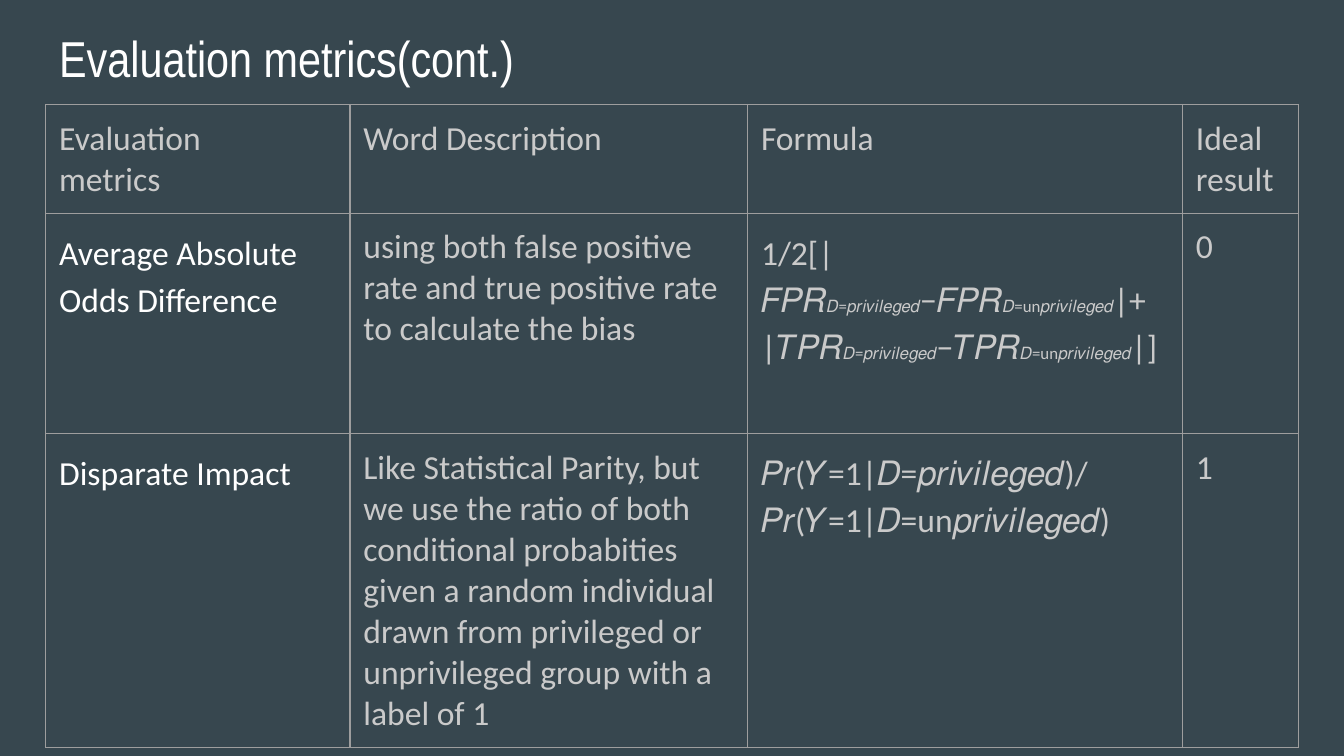
from lxml.etree import SubElement
from pptx import Presentation
from pptx.dml.color import RGBColor as RGB
from pptx.enum.text import MSO_ANCHOR as Anchor, MSO_AUTO_SIZE as Fit, PP_ALIGN as Align
from pptx.oxml.ns import qn
from pptx.util import Pt

THEME = {
    "back": "37474F", "text": "CACACA", "bright": "FFFFFF", "line": "9E9E9E",
    "head font": "Arial Narrow", "body font": "Calibri",
    "head": 27, "body": 18, "sub": 9, "rule": 0.75, "inset": 7.2,
}

TITLE = "Evaluation metrics(cont.)"
PRIV, UNPRIV = "𝐷=𝑝𝑟𝑖𝑣𝑖𝑙𝑒𝑔𝑒𝑑", "𝐷=un𝑝𝑟𝑖𝑣𝑖𝑙𝑒𝑔𝑒𝑑"


def rates(start, name, end):
    """Runs of one rate difference; every second run is a subscript."""
    return [start + name, PRIV, "−" + name, UNPRIV, end]


# A cell is a list of paragraphs, a paragraph a list of runs.
ROWS = [
    [[["Evaluation"], ["metrics"]], [["Word Description"]],
     [["Formula"]], [["Ideal result"]]],
    [[["Average Absolute Odds Difference"]],
     [["using both false positive rate and true positive rate to calculate the bias"]],
     [rates("1/2[|", "𝐹𝑃𝑅", "|+"), rates("|", "𝑇𝑃𝑅", "|]")],
     [["0"]]],
    [[["Disparate Impact"]],
     [["Like Statistical Parity, but we use the ratio of both conditional probabities "
       "given a random individual drawn from privileged or unprivileged group "
       "with a label of 1"]],
     [[f"𝑃𝑟(𝑌=1|{PRIV})/𝑃𝑟(𝑌=1|{UNPRIV})"]],
     [["1"]]],
]
WIDTHS = [163, 213, 233, 62]
HEIGHTS = [54, 118, 30]  # the last row grows with its text
LEFT, TOP = 24.5, 56
METRIC, FORMULA = 0, 2  # columns with looser lines


def style(run, font, size, color):
    run.font.name = font
    run.font.size = Pt(size)
    run.font.color.rgb = RGB.from_string(color)


def pad(frame):
    frame.margin_left = frame.margin_right = Pt(THEME["inset"])
    frame.margin_top = frame.margin_bottom = Pt(THEME["inset"])


def rule(cell):
    """Draw a thin line on all four sides of a cell."""
    props = cell._tc.get_or_add_tcPr()
    for side in ("lnL", "lnR", "lnT", "lnB"):
        line = SubElement(props, qn(f"a:{side}"), w=str(Pt(THEME["rule"])))
        fill = SubElement(line, qn("a:solidFill"))
        SubElement(fill, qn("a:srgbClr"), val=THEME["line"])


def write(cell, paras, row, col):
    frame = cell.text_frame
    color = THEME["bright" if row and col == METRIC else "text"]
    for i, runs in enumerate(paras):
        para = frame.add_paragraph() if i else frame.paragraphs[0]
        if row and col in (METRIC, FORMULA):
            para.line_spacing = 1.15
        if row and col == METRIC:
            para.space_before = Pt(12)
        for j, text in enumerate(runs):
            run = para.add_run()
            run.text = text
            style(run, THEME["body font"], THEME["sub" if j % 2 else "body"], color)


def add_title(slide):
    title = slide.shapes.title
    title.left, title.top = Pt(LEFT), Pt(7.2)
    title.width, title.height = Pt(sum(WIDTHS)), Pt(45)
    frame = title.text_frame
    pad(frame)
    frame.auto_size = Fit.NONE
    frame.word_wrap = True
    frame.vertical_anchor = Anchor.TOP
    para = frame.paragraphs[0]
    para.alignment = Align.LEFT
    run = para.add_run()
    run.text = TITLE
    style(run, THEME["head font"], THEME["head"], THEME["bright"])


def add_grid(slide):
    grid = slide.shapes.add_table(
        len(ROWS), len(WIDTHS), Pt(LEFT), Pt(TOP),
        Pt(sum(WIDTHS)), Pt(sum(HEIGHTS))).table
    grid.first_row = grid.horz_banding = False
    for col, width in zip(grid.columns, WIDTHS):
        col.width = Pt(width)
    for row, height in zip(grid.rows, HEIGHTS):
        row.height = Pt(height)
    for r, row in enumerate(ROWS):
        for c, paras in enumerate(row):
            cell = grid.cell(r, c)
            pad(cell)
            rule(cell)
            cell.fill.background()
            write(cell, paras, r, c)


def main():
    deck = Presentation()
    deck.slide_width, deck.slide_height = Pt(720), Pt(405)
    slide = deck.slides.add_slide(deck.slide_layouts[5])
    back = slide.background.fill
    back.solid()
    back.fore_color.rgb = RGB.from_string(THEME["back"])
    add_grid(slide)
    add_title(slide)
    deck.save("out.pptx")


if __name__ == "__main__":
    main()
